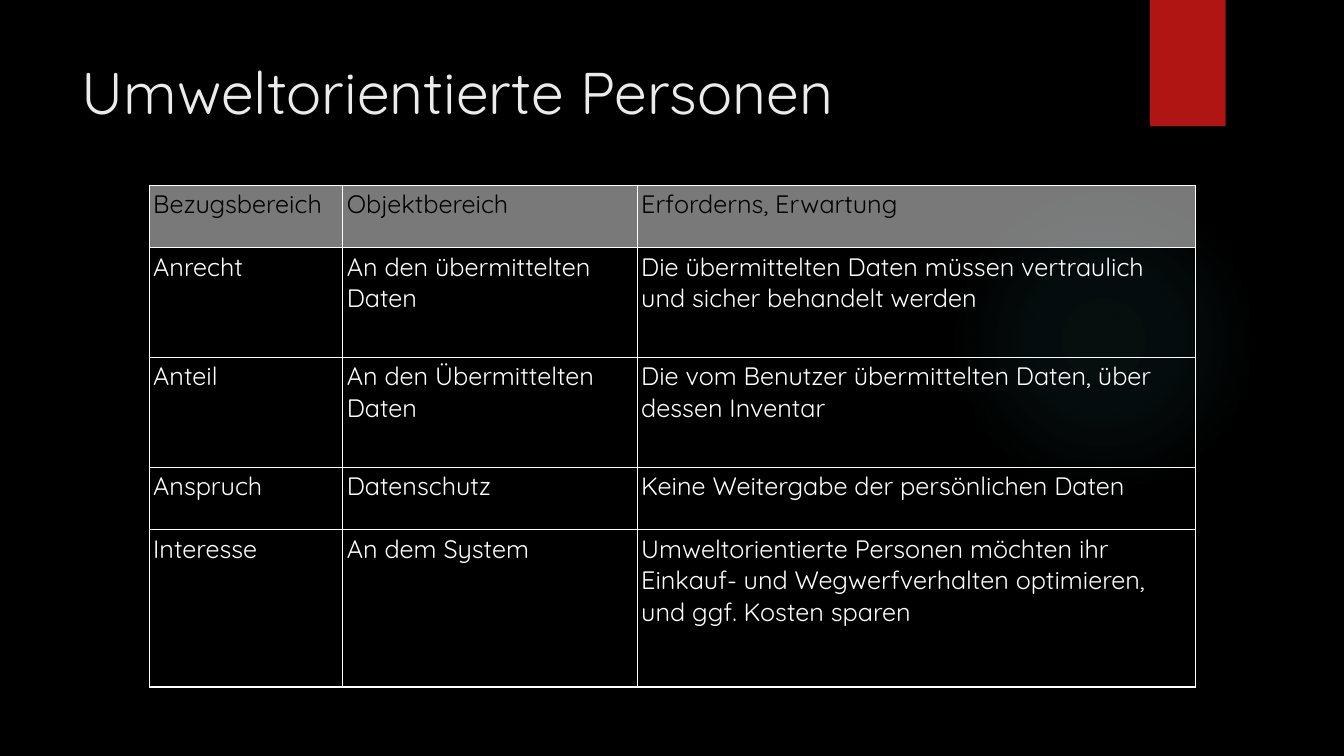
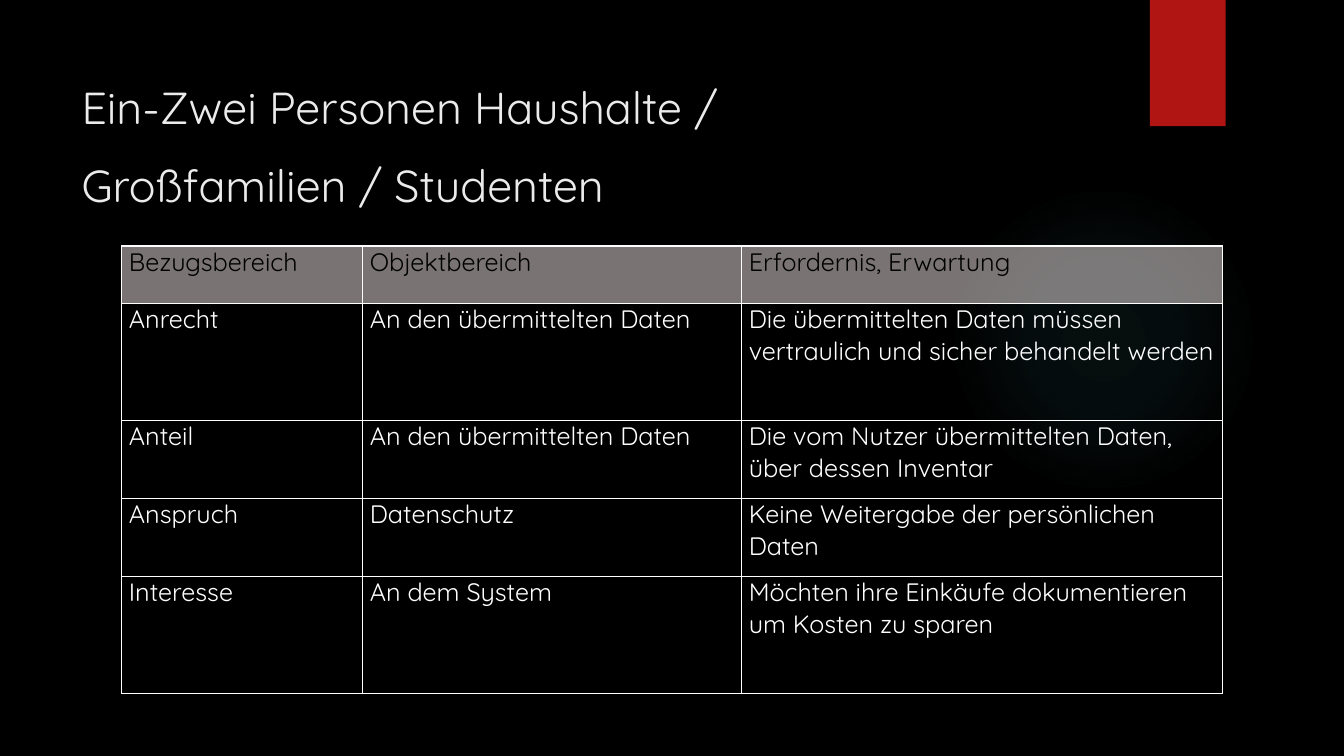
from lxml.etree import SubElement
from pptx import Presentation
from pptx.dml.color import RGBColor
from pptx.enum.shapes import MSO_SHAPE
from pptx.enum.text import MSO_ANCHOR, MSO_AUTO_SIZE, PP_ALIGN
from pptx.oxml import parse_xml
from pptx.oxml.ns import nsdecls, qn
from pptx.util import Cm, Pt

FONT = "Quicksand"
BLACK, WHITE, TITLE, RED, GLOW = "000000", "FFFFFF", "EBEBEB", "B01513", "50B9C1"
GLOW_STOPS = ((0, 7), (36, 6), (69, 0))
TITLE_BOX = (1.8, 1.27, 26.14, 3.89)

PERSONS_ROWS = (
    ("Bezugsbereich", "Objektbereich", "Erforderns, Erwartung"),
    ("Anrecht", "An den übermittelten Daten",
     "Die übermittelten Daten müssen vertraulich und sicher behandelt werden"),
    ("Anteil", "An den Übermittelten Daten",
     "Die vom Benutzer übermittelten Daten, über dessen Inventar"),
    ("Anspruch", "Datenschutz", "Keine Weitergabe der persönlichen Daten"),
    ("Interesse", "An dem System",
     "Umweltorientierte Personen möchten ihr Einkauf- und Wegwerfverhalten "
     "optimieren, und ggf. Kosten sparen"),
)
HOUSEHOLD_ROWS = (
    ("Bezugsbereich", "Objektbereich", "Erfordernis, Erwartung"),
    ("Anrecht", "An den übermittelten Daten",
     "Die übermittelten Daten müssen vertraulich und sicher behandelt werden"),
    ("Anteil", "An den übermittelten Daten",
     "Die vom Nutzer übermittelten Daten, über dessen Inventar"),
    ("Anspruch", "Datenschutz", "Keine Weitergabe der persönlichen Daten"),
    ("Interesse", "An dem System",
     "Möchten ihre Einkäufe dokumentieren um Kosten zu sparen"),
)


def fill_solid(fill, color):
    """Fill with one colour given as a hex string."""
    fill.solid()
    fill.fore_color.rgb = RGBColor.from_string(color)


def write_text(text_frame, text, size=18, color=WHITE, line_spacing=None, space=0):
    """Write one left-aligned paragraph, with line breaks at newlines."""
    paragraph = text_frame.paragraphs[0]
    paragraph.alignment = PP_ALIGN.LEFT
    paragraph.line_spacing = line_spacing
    paragraph.space_before = paragraph.space_after = Pt(space)
    for index, line in enumerate(text.split("\n")):
        if index:
            paragraph.add_line_break()
        run = paragraph.add_run()
        run.text = line
        run.font.name = FONT
        run.font.size = Pt(size)
        fill_solid(run.font.fill, color)


def add_layout_shape(slide, kind, box, color):
    """Add a borderless shape to the layout that the slides share."""
    shape = slide.shapes.add_shape(kind, *map(Cm, box))
    shape.shadow.inherit = False
    shape.line.fill.background()
    fill_solid(shape.fill, color)
    slide.slide_layout.shapes.element.append(shape.element)
    return shape


def add_glow(slide):
    """Add the faint round glow to the layout."""
    glow = add_layout_shape(slide, MSO_SHAPE.OVAL, (23.9, 4.65, 7.82, 7.82), GLOW)
    stops = "".join(
        f'<a:gs pos="{position * 1000}"><a:srgbClr val="{GLOW}">'
        f'<a:alpha val="{opacity * 1000}"/></a:srgbClr></a:gs>'
        for position, opacity in GLOW_STOPS
    )
    gradient = parse_xml(
        f'<a:gradFill {nsdecls("a")}><a:gsLst>{stops}</a:gsLst><a:path path="circle">'
        '<a:fillToRect l="50000" t="50000" r="50000" b="50000"/></a:path></a:gradFill>'
    )
    properties = glow.element.spPr
    properties.replace(properties.find(qn("a:solidFill")), gradient)


def set_title(slide, text, **text_format):
    """Place and format the title placeholder."""
    title = slide.shapes.title
    title.left, title.top, title.width, title.height = map(Cm, TITLE_BOX)
    text_frame = title.text_frame
    text_frame.word_wrap = True
    text_frame.auto_size = MSO_AUTO_SIZE.NONE
    text_frame.vertical_anchor = MSO_ANCHOR.TOP
    write_text(text_frame, text, color=TITLE, **text_format)


def add_borders(cell):
    """Draw a white line of one point on each side of a cell."""
    properties = cell._tc.get_or_add_tcPr()
    for side in "LRTB":
        properties.append(parse_xml(
            f'<a:ln{side} {nsdecls("a")} w="{Pt(1)}"><a:solidFill>'
            f'<a:srgbClr val="{WHITE}"/></a:solidFill></a:ln{side}>'
        ))


def fill_header(cell, color):
    """Fill a header cell with a half transparent colour."""
    fill_solid(cell.fill, color)
    color_element = cell._tc.tcPr.find(qn("a:solidFill")).find(qn("a:srgbClr"))
    SubElement(color_element, qn("a:alpha"), val="50000")


def add_grid(slide, rows, left, top, widths, heights, header_color, margins, header_space=0):
    """Add a bordered table with a header row."""
    frame = slide.shapes.add_table(
        len(rows), len(widths), Cm(left), Cm(top), Cm(sum(widths)), Cm(sum(heights))
    )
    table = frame.table
    table.first_row = table.horz_banding = False
    for column, width in zip(table.columns, widths):
        column.width = Cm(width)
    for row_index, (row, height, texts) in enumerate(zip(table.rows, heights, rows)):
        row.height = Cm(height)
        is_header = row_index == 0
        for cell, text in zip(row.cells, texts):
            cell.margin_left = cell.margin_right = Cm(margins[0])
            cell.margin_top = cell.margin_bottom = Cm(margins[1])
            add_borders(cell)
            if is_header:
                fill_header(cell, header_color)
            else:
                cell.fill.background()
            write_text(cell.text_frame, text, color=BLACK if is_header else WHITE,
                       space=header_space if is_header else 0)


def main():
    """Build and save the two slides."""
    presentation = Presentation()
    presentation.slide_width, presentation.slide_height = Cm(33.87), Cm(19.05)
    fill_solid(presentation.slide_master.background.fill, BLACK)
    layout = presentation.slide_layouts[5]

    persons = presentation.slides.add_slide(layout)
    add_glow(persons)
    add_layout_shape(persons, MSO_SHAPE.RECTANGLE, (28.98, 0, 1.91, 3.18), RED)
    set_title(persons, "Umweltorientierte Personen", size=42)
    add_grid(persons, PERSONS_ROWS, 3.76, 4.67, (4.88, 7.42, 14.07),
             (1.57, 2.77, 2.77, 1.57, 3.96), "F2F2F2", (0.1, 0.08))

    households = presentation.slides.add_slide(layout)
    set_title(households, "Ein-Zwei Personen Haushalte / \nGroßfamilien / Studenten",
              size=32, line_spacing=1.45)
    add_grid(households, HOUSEHOLD_ROWS, 3.07, 6.2, (6.07, 9.55, 12.12),
             (1.45, 2.95, 1.96, 1.96, 2.95), "F2E8E7", (0.18, 0), header_space=2)

    presentation.save("out.pptx")


if __name__ == "__main__":
    main()
